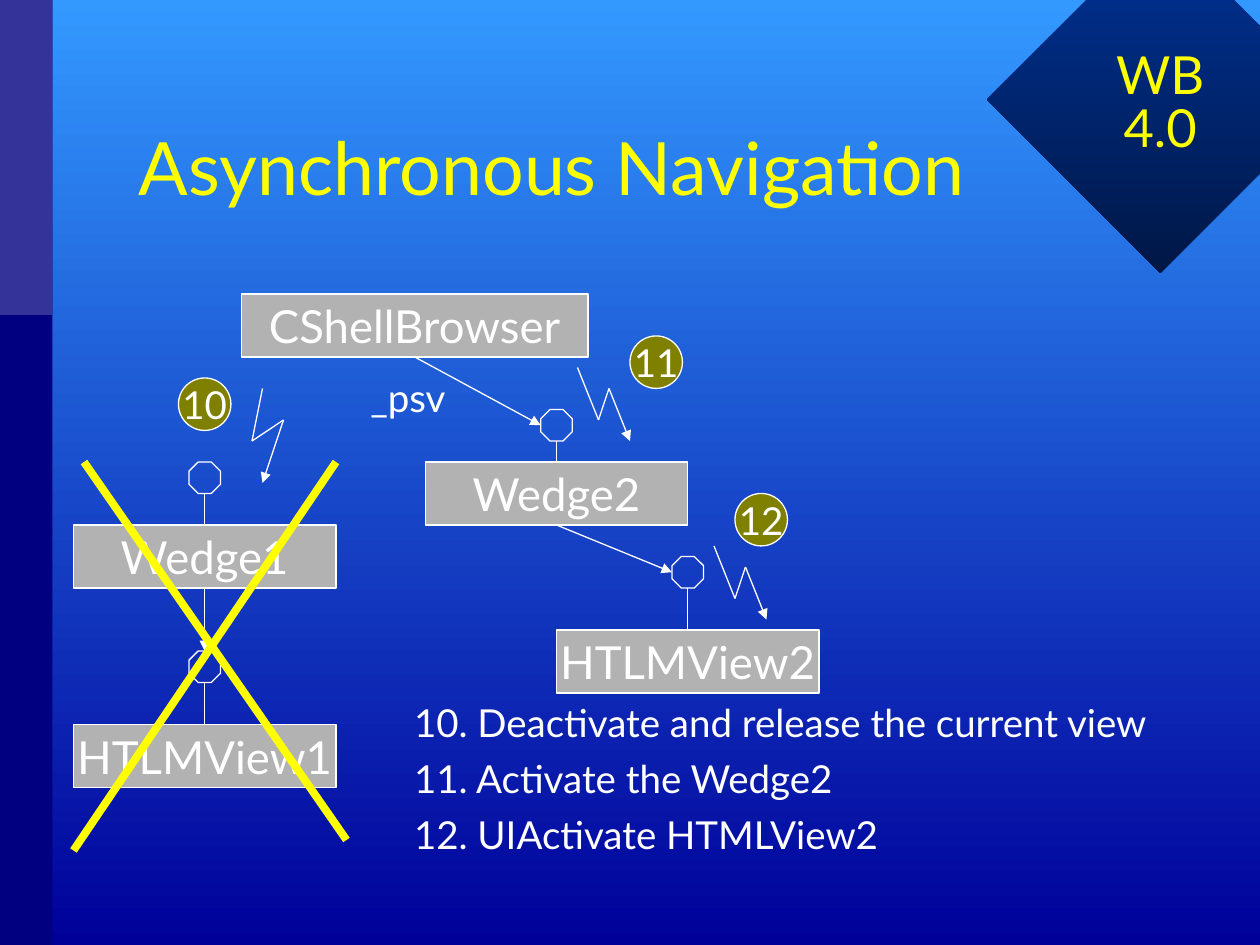
from lxml import etree
from pptx import Presentation
from pptx.dml.color import RGBColor
from pptx.enum.shapes import MSO_CONNECTOR, MSO_SHAPE
from pptx.enum.text import MSO_ANCHOR, MSO_AUTO_SIZE, PP_ALIGN
from pptx.oxml.ns import qn
from pptx.util import Pt

RECTANGLE, OVAL = MSO_SHAPE.RECTANGLE, MSO_SHAPE.OVAL
OCTAGON, DIAMOND = MSO_SHAPE.OCTAGON, MSO_SHAPE.DIAMOND
STRAIGHT = MSO_CONNECTOR.STRAIGHT
LEFT, CENTER = PP_ALIGN.LEFT, PP_ALIGN.CENTER
TOP, MIDDLE = MSO_ANCHOR.TOP, MSO_ANCHOR.MIDDLE
NO_AUTOFIT = MSO_AUTO_SIZE.NONE
FONT, WHITE, YELLOW = "Lato", "FFFFFF", "FFFF00"
TOP_SIDE, BOTTOM_SIDE = 0, 2
rgb = RGBColor.from_string


def write_text(frame, lines, size, color=WHITE, align=CENTER, anchor=MIDDLE,
               before=0, spacing=1.0):
    frame.auto_size = NO_AUTOFIT
    frame.vertical_anchor = anchor
    for number, line in enumerate(lines):
        para = frame.add_paragraph() if number else frame.paragraphs[0]
        para.alignment = align
        para.space_before = Pt(before)
        para.line_spacing = spacing
        span = para.add_run()
        span.text = line
        span.font.name = FONT
        span.font.size = Pt(size)
        span.font.color.rgb = rgb(color)


def draw_line(start, end, color=WHITE, width=0.75, arrow=False):
    line = slide.shapes.add_connector(STRAIGHT, *map(Pt, start + end))
    line.line.color.rgb = rgb(color)
    line.line.width = Pt(width)
    if arrow:
        etree.SubElement(line.line._get_or_add_ln(), qn("a:tailEnd"), type="triangle")
    etree.SubElement(line._element.spPr, qn("a:effectLst"))
    return line


deck = Presentation()
deck.slide_width, deck.slide_height = Pt(720), Pt(540)
slide = deck.slides.add_slide(deck.slide_layouts[5])

# Corner diamond and side bars
diamond = slide.shapes.add_shape(DIAMOND, Pt(564), Pt(-42), Pt(198), Pt(198))
diamond.shadow.inherit = False
diamond.line.fill.background()
for height, color in ((540, "000080"), (180, "333399")):
    bar = slide.shapes.add_shape(RECTANGLE, 0, 0, Pt(30), Pt(height))
    bar.shadow.inherit = False
    bar.line.fill.background()
    bar.fill.solid()
    bar.fill.fore_color.rgb = rgb(color)

# Gradients of the background and the diamond, running downwards
for fill, colors in ((slide.background.fill, ("3399FF", "000099")),
                     (diamond.fill, ("003399", "001746"))):
    fill.gradient()
    fill.gradient_angle = 270
    for stop, color in zip(fill.gradient_stops, colors):
        stop.color.rgb = rgb(color)

# Title
title = slide.shapes.title
title.left, title.top, title.width, title.height = Pt(72), Pt(54), Pt(576), Pt(90)
write_text(title.text_frame, ["Asynchronous Navigation"], 42, YELLOW, LEFT, spacing=0.85)

# Object boxes and numbered step circles
objects = {}
for kind, label, left, top, width, height, color, size, before in (
    (RECTANGLE, "CShellBrowser", 138, 168, 198, 36, "B2B2B2", 26, 6.5),
    (RECTANGLE, "Wedge1", 42, 300, 150, 36, "B2B2B2", 26, 6.5),
    (RECTANGLE, "HTLMView1", 42, 414, 150, 36, "B2B2B2", 26, 6.5),
    (RECTANGLE, "Wedge2", 243, 264, 150, 36, "B2B2B2", 26, 6.5),
    (RECTANGLE, "HTLMView2", 318, 360, 150, 36, "B2B2B2", 26, 6.5),
    (OVAL, "10", 102, 216, 30, 30, "808000", 22, 5.5),
    (OVAL, "11", 360, 192, 30, 30, "808000", 22, 5.5),
    (OVAL, "12", 420, 282, 30, 30, "808000", 22, 5.5),
):
    box = slide.shapes.add_shape(kind, Pt(left), Pt(top), Pt(width), Pt(height))
    box.shadow.inherit = False
    box.fill.solid()
    box.fill.fore_color.rgb = rgb(color)
    box.line.color.rgb = rgb(WHITE)
    box.line.width = Pt(0.75)
    box.text_frame.word_wrap = False
    write_text(box.text_frame, [label], size, before=before)
    objects[label] = box

# Interface octagons, each on a stem above its object
for label, center, top in (("Wedge1", 117, 264), ("HTLMView1", 117, 372),
                           ("Wedge2", 318, 234), ("HTLMView2", 393, 318)):
    octagon = slide.shapes.add_shape(OCTAGON, Pt(center - 9), Pt(top), Pt(18), Pt(18))
    octagon.shadow.inherit = False
    octagon.fill.background()
    octagon.line.color.rgb = rgb(WHITE)
    octagon.line.width = Pt(0.75)
    stem = draw_line((center, top + 36), (center, top + 18))
    stem.begin_connect(objects[label], TOP_SIDE)

# Reference arrows from an object to the next octagon
for label, start, end in (("CShellBrowser", (237, 204), (309, 243)),
                          ("Wedge1", (117, 336), (117, 372)),
                          ("Wedge2", (318, 300), (384, 327))):
    reference = draw_line(start, end, arrow=True)
    reference.begin_connect(objects[label], BOTTOM_SIDE)

# Zigzag call arrows beside the step circles
falling = ((0, 0), (12, 30), (18, 12), (30, 42))
leaning = ((0, 0), (-6, 30), (12, 18), (0, 54))
for left, top, bends in ((150, 222, leaning), (330, 210, falling), (408, 312, falling)):
    points = [(left + x, top + y) for x, y in bends]
    for start, end in zip(points, points[1:]):
        draw_line(start, end, arrow=end == points[-1])

# Free text: member name, steps and version
steps = ["10. Deactivate and release the current view",
         "11. Activate the Wedge2", "12. UIActivate HTMLView2"]
for lines, left, top, width, height, size, color, align, anchor, before, spacing in (
    (["_psv"], 204.5, 210, 59, 34, 22, WHITE, LEFT, TOP, 5.5, 1.0),
    (steps, 229.5, 396, 459, 98, 22, WHITE, LEFT, TOP, 5.5, 1.0),
    (["WB 4.0"], 606, 18, 114, 84, 30, YELLOW, CENTER, MIDDLE, 0, 0.85),
):
    box = slide.shapes.add_textbox(Pt(left), Pt(top), Pt(width), Pt(height))
    box.text_frame.word_wrap = True
    write_text(box.text_frame, lines, size, color, align, anchor, before, spacing)

# Cross over the released view
draw_line((48, 264), (198, 480), YELLOW, 4.5)
draw_line((192, 264), (42, 486), YELLOW, 4.5)

deck.save("out.pptx")
